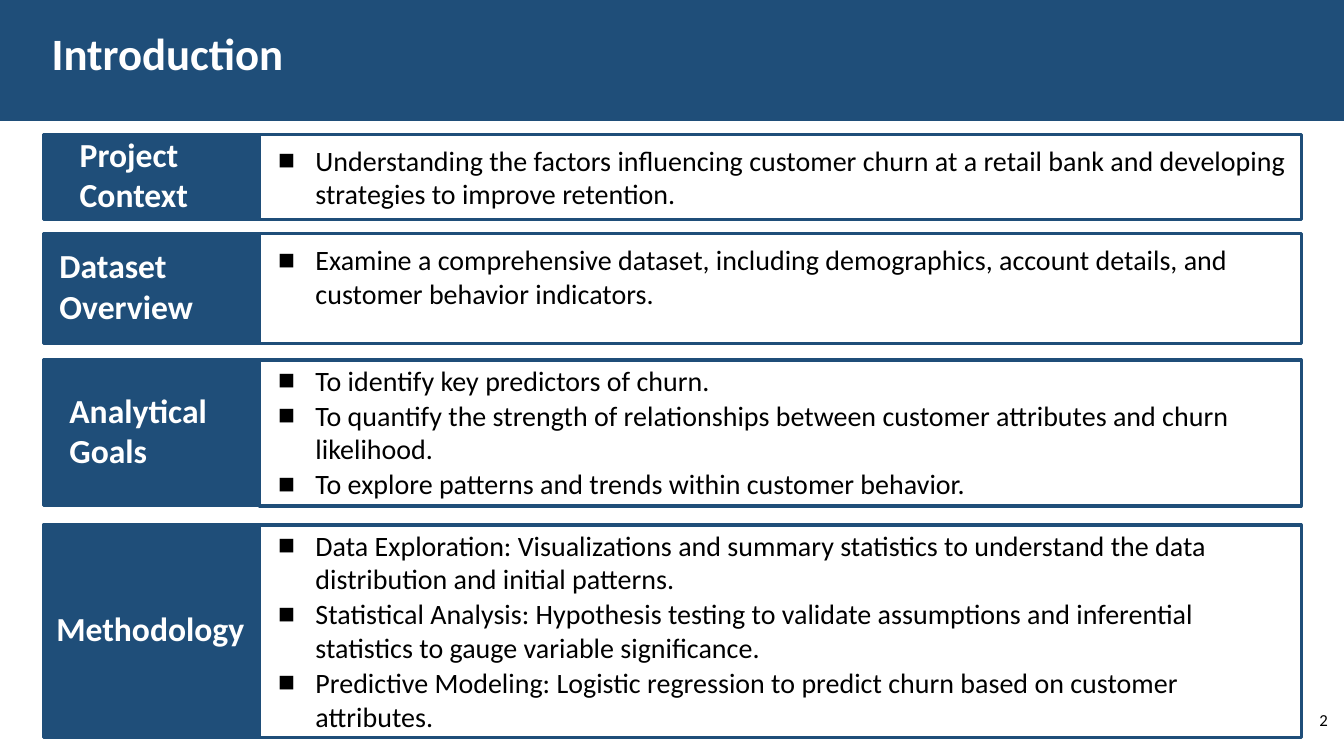
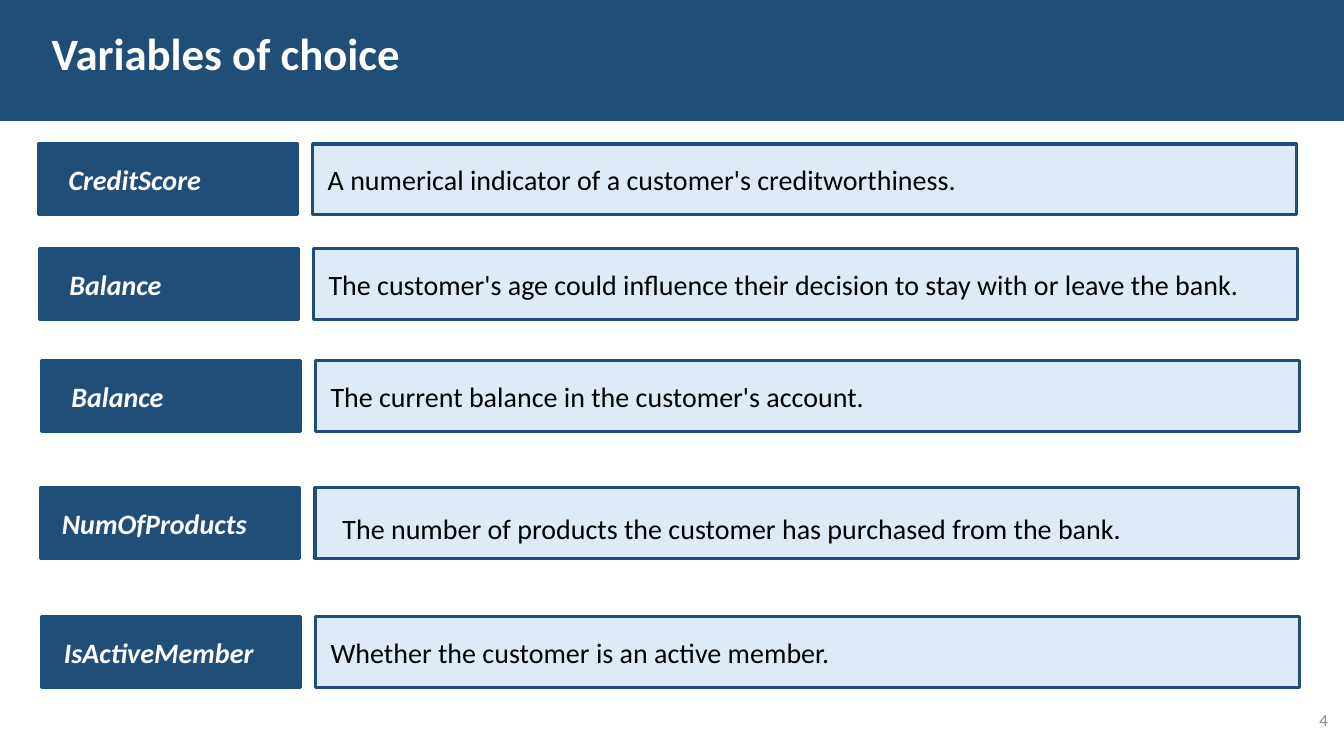
import pptx
import pptx.util
import pptx.dml.color
import pptx.enum.shapes
import pptx.enum.text
import pptx.oxml.ns
from lxml import etree

Cm, Pt = pptx.util.Cm, pptx.util.Pt
ANCHOR = pptx.enum.text.MSO_ANCHOR

# Content: slide 1
INTRODUCTION = [
    # label, label inset, top, height, list inset, list items
    ("Project Context", 0.92, 3.38, 2.16, 0.23, [
        "Understanding the factors influencing customer churn at a retail bank "
        "and developing strategies to improve retention."]),
    ("Dataset Overview", 0.41, 5.89, 2.77, 0.23, [
        "Examine a comprehensive dataset, including demographics, account "
        "details, and customer behavior indicators."]),
    ("Analytical Goals", 0.66, 9.07, 3.68, 0.08, [
        "To identify key predictors of churn.",
        "To quantify the strength of relationships between customer attributes "
        "and churn likelihood.",
        "To explore patterns and trends within customer behavior."]),
    ("Methodology", 0.33, 13.23, 5.36, 0.08, [
        "Data Exploration: Visualizations and summary statistics to understand "
        "the data distribution and initial patterns.",
        "Statistical Analysis: Hypothesis testing to validate assumptions and "
        "inferential statistics to gauge variable significance.",
        "Predictive Modeling: Logistic regression to predict churn based on "
        "customer attributes."]),
]

# Content: slide 2
VARIABLES = [
    # name, name inset, left, top, description, description insets (left, top)
    ("CreditScore", 0.76, 0.97, 3.63,
     "A numerical indicator of a customer's creditworthiness.", (0.38, 0)),
    ("Balance", 0.76, 0.99, 6.27,
     "The customer's age could influence their decision to stay with or leave "
     "the bank.", (0.38, 0)),
    ("Balance", 0.76, 1.04, 9.09,
     "The current balance in the customer's account.", (0.38, 0)),
    ("NumOfProducts", 0.53, 1.03, 12.29,
     "The number of products the customer has purchased from the bank.",
     (0.69, 0.25)),
    ("IsActiveMember", 0.57, 1.04, 15.54,
     "Whether the customer is an active member.", (0.38, 0)),
]

# Shared look
WIDTH, HEIGHT, BAND_HEIGHT = 33.87, 19.05, 3.05
NAVY, PALE, WHITE, BLACK, GREY = "1F4E79", "DEEBF7", "FFFFFF", "000000", "898989"
TITLE = {"size": Pt(32), "bold": True}
LABEL = {"size": Pt(24), "bold": True}
NAME = {"size": Pt(20), "bold": True, "italic": True}
BODY = {"size": Pt(20), "bold": False}
NUMBER = {"size": Pt(12)}

# Layout of the two grids
PANEL_LEFT, LABEL_WIDTH, LIST_WIDTH = 1.09, 5.44, 26.26
NAME_WIDTH, DESCRIPTION_OFFSET, DESCRIPTION_WIDTH, ROW_HEIGHT = 6.53, 6.91, 24.79, 1.78


def color(hex_string):
    return pptx.dml.color.RGBColor.from_string(hex_string)


def place(shape, left, top, width, height):
    for name, value in zip(("left", "top", "width", "height"),
                           (left, top, width, height)):
        setattr(shape, name, Cm(value))


def write(shape, texts, style, text_color, insets=(0, 0, 0, 0), anchor=ANCHOR.TOP):
    """Fill a shape with left-aligned paragraphs; insets: left, top, right, bottom."""
    frame = shape.text_frame
    frame.text = "\n".join(texts)
    settings = {"word_wrap": True, "vertical_anchor": anchor,
                "auto_size": pptx.enum.text.MSO_AUTO_SIZE.NONE}
    for side, inset in zip(("left", "top", "right", "bottom"), insets):
        settings["margin_" + side] = Cm(inset)
    for name, value in settings.items():
        setattr(frame, name, value)
    for paragraph in frame.paragraphs:
        paragraph.alignment = pptx.enum.text.PP_ALIGN.LEFT
        paragraph.space_before = Pt(1)
        font = paragraph.runs[0].font
        for name, value in {"name": "Calibri", **style}.items():
            setattr(font, name, value)
        font.color.rgb = color(text_color)


def outline(shape):
    shape.line.color.rgb = color(NAVY)
    shape.line.width = Pt(2.25)


def add_box(slide, bounds, fill):
    shape = slide.shapes.add_shape(pptx.enum.shapes.MSO_SHAPE.RECTANGLE,
                                   *(Cm(value) for value in bounds))
    shape.shadow.inherit = False
    shape.fill.solid()
    shape.fill.fore_color.rgb = color(fill)
    outline(shape)
    return shape


def add_bullets(shape):
    for paragraph in shape.text_frame.paragraphs:
        properties = paragraph._p.get_or_add_pPr()
        properties.set("marL", str(Cm(0.99)))
        properties.set("indent", str(-Cm(0.94)))
        bullet = etree.SubElement(properties, pptx.oxml.ns.qn("a:buChar"))
        bullet.set("char", "■")


def add_slide(presentation, layout_index, title, number, number_color):
    slide = presentation.slides.add_slide(presentation.slide_layouts[layout_index])
    place(slide.shapes.title, 1.3, 0.66, 25.7, 1.42)
    write(slide.shapes.title, [title], TITLE, WHITE)
    number_box = slide.shapes.add_textbox(Cm(33.25), Cm(17.88), Cm(0.6), Cm(0.6))
    write(number_box, [number], NUMBER, number_color)
    return slide


def add_master_band(presentation, slide):
    band = add_box(slide, (0, 0, WIDTH, BAND_HEIGHT), NAVY)
    band.line.fill.background()
    presentation.slide_master.shapes.element.insert(2, band.element)


def build_introduction(slide):
    for index, (label, label_inset, top, height, list_inset, items) in enumerate(
            INTRODUCTION, start=1):
        label_box = add_box(slide, (PANEL_LEFT, top, LABEL_WIDTH, height), NAVY)
        write(label_box, [label], LABEL, WHITE, (label_inset, 0, 0, 0.15), ANCHOR.MIDDLE)
        panel = slide.placeholders[index]
        place(panel, PANEL_LEFT + LABEL_WIDTH, top, LIST_WIDTH, height)
        outline(panel)
        write(panel, items, BODY, BLACK, (0.43, list_inset, 0.3, 0))
        add_bullets(panel)


def build_variables(slide):
    for name, name_inset, left, top, description, (text_left, text_top) in VARIABLES:
        name_box = add_box(slide, (left, top, NAME_WIDTH, ROW_HEIGHT), NAVY)
        write(name_box, [name], NAME, WHITE, (name_inset, 0, 0, 0), ANCHOR.MIDDLE)
        description_box = add_box(
            slide, (left + DESCRIPTION_OFFSET, top, DESCRIPTION_WIDTH, ROW_HEIGHT), PALE)
        write(description_box, [description], BODY, BLACK,
              (text_left, text_top, 0, 0), ANCHOR.MIDDLE)


def main():
    presentation = pptx.Presentation()
    presentation.slide_width, presentation.slide_height = Cm(WIDTH), Cm(HEIGHT)

    # The comparison layout has four body placeholders, one for each list
    introduction = add_slide(presentation, 4, "Introduction", "2", BLACK)
    add_master_band(presentation, introduction)
    build_introduction(introduction)

    variables = add_slide(presentation, 5, "Variables of choice", "4", GREY)
    build_variables(variables)

    presentation.save("out.pptx")


if __name__ == "__main__":
    main()
